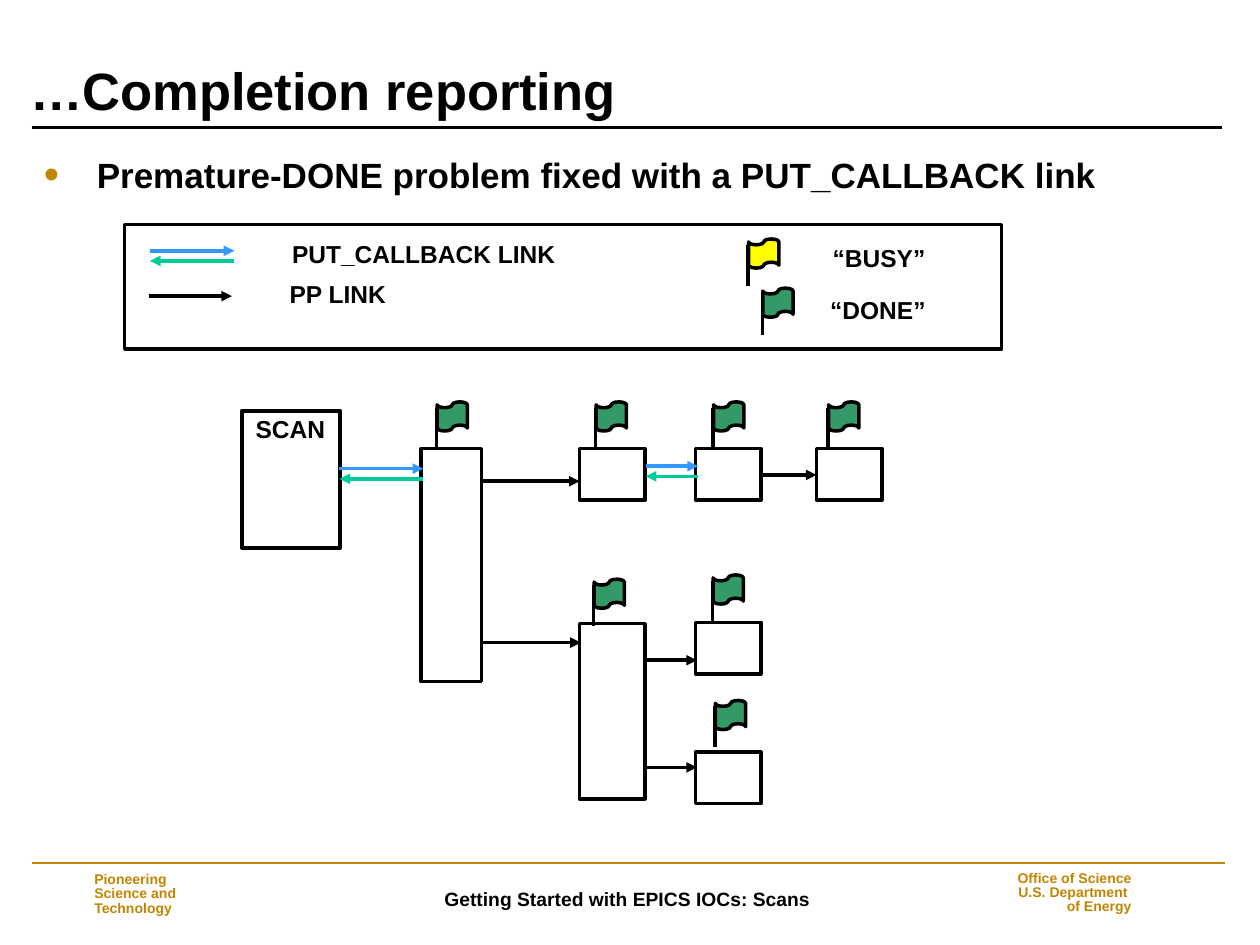
from lxml.etree import SubElement
from pptx import Presentation
from pptx.dml.color import RGBColor
from pptx.enum.shapes import MSO_CONNECTOR, MSO_SHAPE
from pptx.enum.text import MSO_ANCHOR, PP_ALIGN
from pptx.oxml.ns import qn
from pptx.util import Pt

BLACK, GOLD, GREEN = "000000", "C28500", "339966"
YELLOW, BLUE, TEAL = "FFFF00", "3399FF", "00CC99"
SMALL_BOX = (37.4, 29.5)
TOP_ROW = 256.3
COLUMNS = (331.2, 397.4, 466.6)


def color(value):
    return RGBColor.from_string(value)


def add_text(page, frame, text, size, ink=BLACK, align=PP_ALIGN.LEFT,
             anchor=MSO_ANCHOR.TOP, spacing=1.0, top_inset=3.6):
    box = page.shapes.add_textbox(*map(Pt, frame))
    text_frame = box.text_frame
    text_frame.word_wrap = True
    text_frame.vertical_anchor = anchor
    text_frame.margin_top = Pt(top_inset)
    text_frame.text = text
    for para in text_frame.paragraphs:
        para.alignment = align
        para.line_spacing = spacing
        for span in para.runs:
            span.font.name = "Arial"
            span.font.size = Pt(size)
            span.font.bold = True
            span.font.color.rgb = color(ink)
    return box


def add_bullet(para, ink):
    """Give the paragraph a hanging round bullet in its own colour."""
    properties = para._p.get_or_add_pPr()
    properties.set("marL", str(Pt(30.24)))
    properties.set("indent", str(-Pt(30.24)))
    bullet_color = SubElement(properties, qn("a:buClr"))
    SubElement(bullet_color, qn("a:srgbClr"), val=ink)
    SubElement(properties, qn("a:buSzPct"), val="125000")
    SubElement(properties, qn("a:buFont"), typeface="Arial")
    SubElement(properties, qn("a:buChar"), char="•")


def add_shape(page, kind, frame, fill=None):
    shape = page.shapes.add_shape(kind, *map(Pt, frame))
    shape.shadow.inherit = False
    if fill:
        shape.fill.solid()
        shape.fill.fore_color.rgb = color(fill)
    else:
        shape.fill.background()
    shape.line.color.rgb = color(BLACK)
    shape.line.width = Pt(2)


def add_line(page, start, end, ink=BLACK, width=2, arrow=None):
    """Draw a line; arrow is "headEnd" (at start), "tailEnd" (at end) or None."""
    line = page.shapes.add_connector(
        MSO_CONNECTOR.STRAIGHT, *map(Pt, (*start, *end)))
    line.line.color.rgb = color(ink)
    line.line.width = Pt(width)
    if arrow:
        SubElement(line.line._get_or_add_ln(), qn(f"a:{arrow}"), type="triangle")
    SubElement(line._element.spPr, qn("a:effectLst"))


def add_process_link(page, left, right, y):
    add_line(page, (left, y), (right, y), arrow="tailEnd")


def add_callback_link(page, left, right, y):
    """Draw the request arrow with the returning arrow below it."""
    add_line(page, (left, y), (right, y), BLUE, arrow="tailEnd")
    add_line(page, (left, y + 5.8), (right, y + 5.8), TEAL, arrow="headEnd")


def add_flag(page, left, top, fill=GREEN):
    add_shape(page, MSO_SHAPE.FLOWCHART_PUNCHED_TAPE,
              (left + 0.3, top, 17.3, 16.6), fill)
    add_line(page, (left, top + 3.4), (left, top + 26.7))


def add_frame(page):
    """Add the rules and the footer texts."""
    add_line(page, (18, 72.7), (698.4, 72.7), width=1.5)
    add_line(page, (18, 493.2), (699.8, 493.2), GOLD, 1)
    middle = MSO_ANCHOR.MIDDLE
    add_text(page, (145.4, 496.1, 426.2, 34.6),
             "Getting Started with EPICS IOCs: Scans", 11,
             align=PP_ALIGN.CENTER, anchor=middle)
    add_text(page, (46.8, 495.4, 105.1, 31.7),
             "Pioneering \vScience and\vTechnology", 8, GOLD,
             anchor=middle, spacing=0.85)
    add_text(page, (564.5, 494.6, 89.3, 31.7),
             "Office of Science\n U.S. Department \nof Energy", 8, GOLD,
             PP_ALIGN.RIGHT, middle, 0.85)


def add_headings(page):
    add_text(page, (10.1, 37.4, 689.8, 36), "…Completion reporting", 30,
             anchor=MSO_ANCHOR.BOTTOM, spacing=0.9, top_inset=0)
    body = add_text(page, (18, 84.2, 681.1, 31),
                    "Premature-DONE problem fixed with a PUT_CALLBACK link", 20)
    add_bullet(body.text_frame.paragraphs[0], GOLD)


def add_legend(page):
    add_shape(page, MSO_SHAPE.RECTANGLE, (71.3, 128.2, 501.1, 71.3))
    add_callback_link(page, 85.7, 133.9, 143.3)
    add_process_link(page, 85, 132.5, 169.2)
    add_flag(page, 427.5, 136.6, YELLOW)
    add_flag(page, 435.6, 164.7)
    labels = [("PUT_CALLBACK LINK", 159.8, 133.2, 188.6),
              ("PP LINK", 158.4, 156.2, 133.2),
              ("“BUSY”", 468.7, 135.4, 75.6),
              ("“DONE”", 467.3, 164.9, 75.6)]
    for text, left, top, width in labels:
        add_text(page, (left, top, width, 24.5), text, 14)


def add_diagram(page):
    records = [(138.2, 234.7, 56.2, 78.5),
               (240.5, TOP_ROW, 34.6, 133.2),
               (COLUMNS[0], 356.4, SMALL_BOX[0], 100.1)]
    records += [(left, TOP_ROW, *SMALL_BOX) for left in COLUMNS]
    records += [(COLUMNS[1], top, *SMALL_BOX) for top in (355.7, 429.8)]
    for frame in records:
        add_shape(page, MSO_SHAPE.RECTANGLE, frame)
    add_text(page, (139, 233.3, 57.6, 24.5), "SCAN", 14)

    for left, right, y in [(194, 241.9, 267.8), (369, 398.9, 266.4)]:
        add_callback_link(page, left, right, y)
    for left, right, y in [(275.4, 331.2, 275), (275.4, 331.9, 367.2),
                           (434.9, 466.6, 271.4), (368.6, 398.2, 377.3),
                           (368.6, 398.2, 438.5)]:
        add_process_link(page, left, right, y)

    for left in (249.5, 340.4, 407.5, 473.2):
        add_flag(page, left, 229.7)
    for left, top in [(339.2, 331), (407.2, 328.6), (408.5, 400.3)]:
        add_flag(page, left, top)


def main():
    deck = Presentation()
    deck.slide_width, deck.slide_height = Pt(720), Pt(540)
    page = deck.slides.add_slide(deck.slide_layouts[6])
    add_frame(page)
    add_headings(page)
    add_diagram(page)
    add_legend(page)
    deck.save("out.pptx")


if __name__ == "__main__":
    main()
